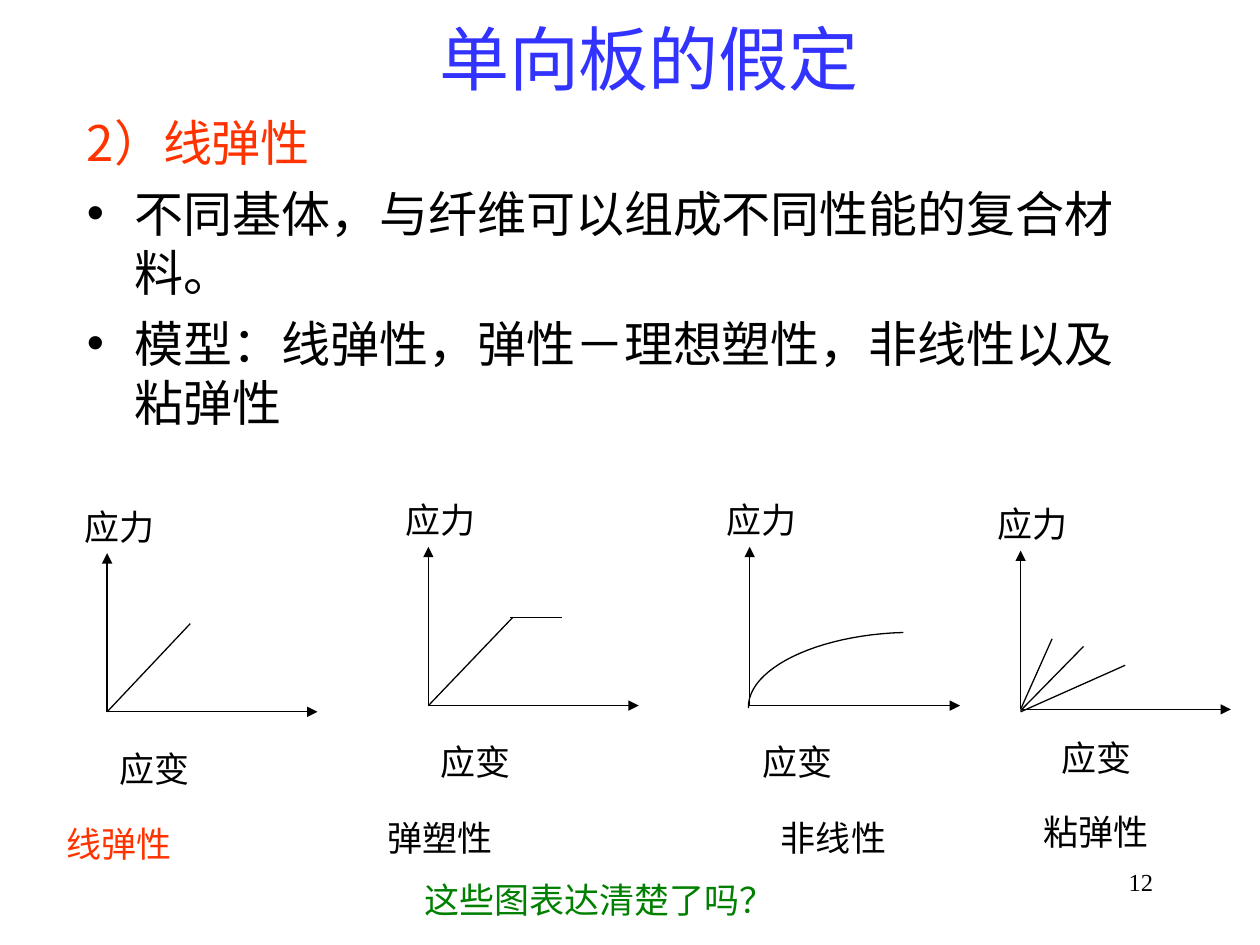
from dataclasses import dataclass

from lxml import etree
from pptx import Presentation
from pptx.dml.color import RGBColor
from pptx.enum.shapes import MSO_CONNECTOR
from pptx.enum.text import MSO_ANCHOR, PP_ALIGN
from pptx.oxml.ns import qn
from pptx.util import Inches, Pt

STRAIGHT = MSO_CONNECTOR.STRAIGHT
MIDDLE, TOP = MSO_ANCHOR.MIDDLE, MSO_ANCHOR.TOP
LEFT, CENTER, RIGHT = PP_ALIGN.LEFT, PP_ALIGN.CENTER, PP_ALIGN.RIGHT

BLACK = RGBColor(0x00, 0x00, 0x00)
BLUE = RGBColor(0x33, 0x33, 0xFF)
ORANGE = RGBColor(0xFF, 0x33, 0x00)
GREEN = RGBColor(0x00, 0x80, 0x00)
HAN_FONT = "Noto Sans CJK SC"
NUMBER_FONT = "Times New Roman"

AXIS_WIDTH, AXIS_HEIGHT = 1.67, 1.26
LABEL_HEIGHT = 0.44
LINE_WIDTH = Pt(0.75)
CURVE_STEPS = 24


@dataclass
class Diagram:
    """Left and top of the axes; all other places are offsets from the origin."""
    name: str
    left: float
    top: float
    segments: tuple = ()
    curve: tuple = ()
    color: RGBColor = BLACK
    name_offset: tuple = (-0.42, 0.83)
    strain_offset: tuple = (0, 0.23)


DIAGRAMS = [
    Diagram("线弹性", 0.85, 4.39, (((0, 0), (0.66, -0.7)),), color=ORANGE),
    Diagram("弹塑性", 3.4, 4.34,
            (((0, 0), (0.67, -0.7)), ((0.65, -0.7), (1.06, -0.7)))),
    Diagram("非线性", 5.95, 4.34, name_offset=(0.15, 0.83),
            curve=((-0.01, 0.02), (-0.02, -0.29), (0.53, -0.56), (1.22, -0.58))),
    Diagram("粘弹性", 8.1, 4.37,
            (((0, 0), (0.25, -0.56)), ((0, 0.01), (0.5, -0.5)),
             ((0, 0.02), (0.83, -0.35))),
            name_offset=(0.08, 0.75), strain_offset=(0.23, 0.17)),
]


def place(shape, left, top, width, height):
    shape.left, shape.top = Inches(left), Inches(top)
    shape.width, shape.height = Inches(width), Inches(height)


def add_run(para, text, size, color, font=HAN_FONT):
    span = para.add_run()
    span.text = text
    span.font.size = Pt(size)
    span.font.name = font
    span.font.color.rgb = color
    east_asian = etree.SubElement(span.font._element, qn("a:ea"))
    east_asian.set("typeface", font)


def add_label(page, text, left, top, width=AXIS_WIDTH, height=LABEL_HEIGHT,
              size=20, color=BLACK, font=HAN_FONT, align=LEFT):
    box = page.shapes.add_textbox(Inches(left), Inches(top),
                                  Inches(width), Inches(height))
    box.text_frame.word_wrap = True
    para = box.text_frame.paragraphs[0]
    para.alignment = align
    add_run(para, text, size, color, font)


def add_line(page, start, end, arrow=False):
    line = page.shapes.add_connector(
        STRAIGHT, *(Inches(value) for value in (*start, *end)))
    line.line.color.rgb = BLACK
    line.line.width = LINE_WIDTH
    properties = line._element.spPr
    if arrow:
        tail = etree.SubElement(properties.find(qn("a:ln")), qn("a:tailEnd"))
        tail.set("type", "triangle")
    etree.SubElement(properties, qn("a:effectLst"))


def add_curve(page, controls):
    """Draw a cubic Bezier curve through its four control points."""
    points = []
    for step in range(CURVE_STEPS + 1):
        t = step / CURVE_STEPS
        weights = ((1 - t) ** 3, 3 * t * (1 - t) ** 2, 3 * t ** 2 * (1 - t), t ** 3)
        points.append(tuple(
            Inches(sum(w * point[axis] for w, point in zip(weights, controls)))
            for axis in (0, 1)))
    builder = page.shapes.build_freeform(*points[0])
    builder.add_line_segments(points[1:], close=False)
    curve = builder.convert_to_shape()
    curve.shadow.inherit = False
    curve.fill.background()
    curve.line.color.rgb = BLACK
    curve.line.width = LINE_WIDTH


def add_title(page, left, top, width, height):
    title = page.shapes.title
    place(title, left, top, width, height)
    title.text_frame.vertical_anchor = MIDDLE
    para = title.text_frame.paragraphs[0]
    para.alignment = CENTER
    add_run(para, "单向板的假定", 40, BLUE)


def set_bullet(para, bullet):
    properties = para._p.get_or_add_pPr()
    properties.set("marL", str(Inches(0.38)))
    properties.set("indent", str(-Inches(0.38)))
    if bullet:
        color = etree.SubElement(properties, qn("a:buClr"))
        etree.SubElement(color, qn("a:srgbClr")).set("val", str(BLACK))
        etree.SubElement(properties, qn("a:buChar")).set("char", bullet)
    else:
        etree.SubElement(properties, qn("a:buNone"))


def add_body(page, left, top, width, height):
    body = page.placeholders[1]
    place(body, left, top, width, height)
    frame = body.text_frame
    frame.vertical_anchor = TOP
    items = [
        ("2）线弹性", ORANGE, None),
        ("不同基体，与纤维可以组成不同性能的复合材料。", BLACK, "•"),
        ("模型：线弹性，弹性－理想塑性，非线性以及粘弹性", BLACK, "•"),
    ]
    for index, (text, color, bullet) in enumerate(items):
        para = frame.add_paragraph() if index else frame.paragraphs[0]
        set_bullet(para, bullet)
        para.space_before = Pt(7 if index else 0)
        add_run(para, text, 28, color)


def add_diagram(page, diagram):
    """Draw one stress-strain diagram with its axes and labels."""
    left, base = diagram.left, diagram.top + AXIS_HEIGHT

    def at(offset):
        return left + offset[0], base + offset[1]

    add_line(page, at((0, 0)), at((0, -AXIS_HEIGHT)), arrow=True)
    add_line(page, at((0, 0)), at((AXIS_WIDTH, 0)), arrow=True)
    for start, end in diagram.segments:
        add_line(page, at(start), at(end))
    if diagram.curve:
        add_curve(page, [at(point) for point in diagram.curve])
    add_label(page, "应力", *at((-0.28, -1.69)))
    add_label(page, "应变", *at(diagram.strain_offset))
    add_label(page, diagram.name, *at(diagram.name_offset), color=diagram.color)


def main():
    deck = Presentation()
    deck.slide_width, deck.slide_height = Inches(10), Inches(7.5)
    page = deck.slides.add_slide(deck.slide_layouts[1])
    add_title(page, 0.9, 0, 8.5, 0.91)
    add_body(page, 0.59, 0.84, 8.5, 2.99)
    for diagram in DIAGRAMS:
        add_diagram(page, diagram)
    add_label(page, "这些图表达清楚了吗？", 3.27, 6.92, width=4.17, color=GREEN)
    add_label(page, "12", 7.17, 6.83, width=2.08, height=0.5, size=14,
              font=NUMBER_FONT, align=RIGHT)
    deck.save("out.pptx")


if __name__ == "__main__":
    main()
